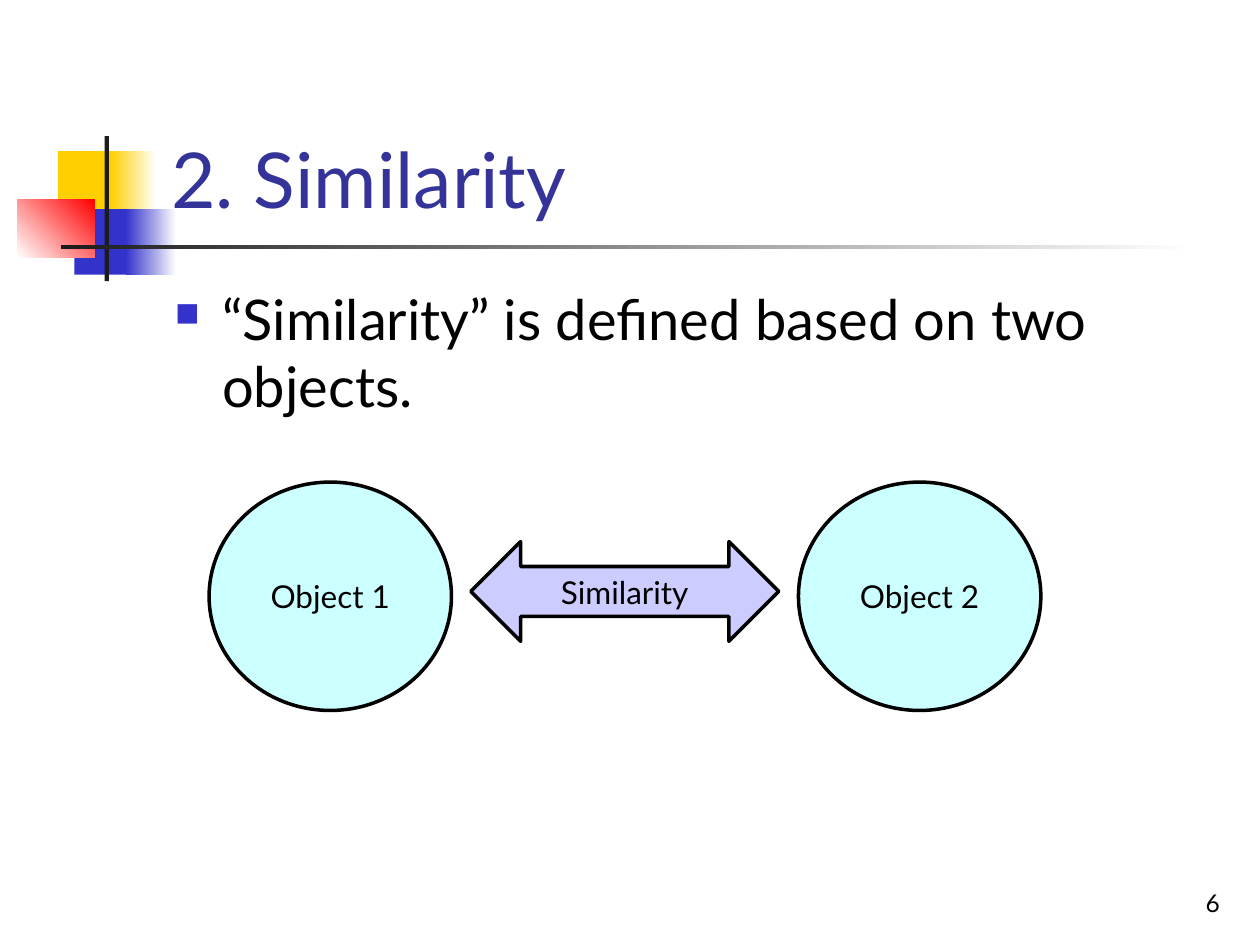
from dataclasses import dataclass

from lxml import etree
from pptx import Presentation
from pptx.dml import color as dml
from pptx.enum import shapes, text
from pptx.oxml import ns
from pptx.util import Pt

FONT = "Lato"
BLACK = "000000"
WHITE = "FFFFFF"
GOLD = "FFCF01"
BLUE = "3333CC"
CHARCOAL = "1C1C1C"


@dataclass(frozen=True)
class Box:
    left: float
    top: float
    width: float
    height: float

    def lengths(self) -> list:
        return [Pt(value) for value in (self.left, self.top, self.width, self.height)]


@dataclass(frozen=True)
class Ornament:
    box: Box
    colors: tuple
    angle: float = 0


@dataclass(frozen=True)
class Node:
    box: Box
    kind: shapes.MSO_SHAPE
    fill: str
    label: str


ORNAMENTS = [
    Ornament(Box(33.1, 86.4, 34.6, 37.4), (GOLD,)),
    Ornament(Box(63.4, 86.4, 25.9, 37.4), (GOLD, WHITE)),
    Ornament(Box(42.5, 119.5, 33.1, 37.4), (BLUE,)),
    Ornament(Box(72, 119.5, 28.8, 37.4), (BLUE, WHITE)),
    Ornament(Box(10, 113.8, 44, 33.1), (WHITE, "FF0000"), 45),
    Ornament(Box(59.8, 77.8, 2.5, 82.8), (CHARCOAL,)),
    Ornament(Box(34.6, 140.1, 648, 2.5), (CHARCOAL, WHITE)),
]

CIRCLE = shapes.MSO_SHAPE.OVAL
ARROW = shapes.MSO_SHAPE.LEFT_RIGHT_ARROW
NODES = [
    Node(Box(119.5, 275.5, 138.5, 130.5), CIRCLE, "CCFFFF", "Object 1"),
    Node(Box(269, 309.5, 176, 57), ARROW, "CCCCFF", "Similarity"),
    Node(Box(456.3, 275.5, 138.5, 130.5), CIRCLE, "CCFFFF", "Object 2"),
]


def rgb(value: str) -> dml.RGBColor:
    return dml.RGBColor.from_string(value)


def write(shape, content: str, size: float, color: str, align, anchor) -> None:
    frame = shape.text_frame
    frame.text = content
    frame.word_wrap = True
    frame.auto_size = text.MSO_AUTO_SIZE.NONE
    frame.vertical_anchor = anchor
    paragraph = frame.paragraphs[0]
    paragraph.alignment = align
    font = paragraph.runs[0].font
    font.name = FONT
    font.size = Pt(size)
    font.color.rgb = rgb(color)


def draw_ornament(slide, ornament: Ornament) -> None:
    shape = slide.shapes.add_shape(shapes.MSO_SHAPE.RECTANGLE, *ornament.box.lengths())
    shape.shadow.inherit = False
    shape.line.fill.background()
    if len(ornament.colors) == 1:
        shape.fill.solid()
        shape.fill.fore_color.rgb = rgb(ornament.colors[0])
        return
    shape.fill.gradient()
    shape.fill.gradient_angle = ornament.angle
    for stop, color in zip(shape.fill.gradient_stops, ornament.colors):
        stop.color.rgb = rgb(color)


def draw_node(slide, node: Node) -> None:
    shape = slide.shapes.add_shape(node.kind, *node.box.lengths())
    shape.shadow.inherit = False
    shape.fill.solid()
    shape.fill.fore_color.rgb = rgb(node.fill)
    shape.line.color.rgb = rgb(BLACK)
    shape.line.width = Pt(2)
    write(shape, node.label, 18, BLACK, text.PP_ALIGN.CENTER, text.MSO_ANCHOR.MIDDLE)


def add_square_bullet(paragraph, color: str, indent: float) -> None:
    properties = paragraph._p.get_or_add_pPr()
    properties.set("marL", str(Pt(indent)))
    properties.set("indent", str(-Pt(indent)))
    bullet_color = etree.SubElement(properties, ns.qn("a:buClr"))
    etree.SubElement(bullet_color, ns.qn("a:srgbClr"), val=color)
    etree.SubElement(properties, ns.qn("a:buSzPct"), val="60000")
    etree.SubElement(properties, ns.qn("a:buChar"), char="■")


def place_title(slide) -> None:
    title = slide.shapes.title
    title.left, title.top, title.width, title.height = Box(90.7, 16.6, 613.4, 115.2).lengths()
    write(title, "2. Similarity", 44, "333399", text.PP_ALIGN.LEFT, text.MSO_ANCHOR.BOTTOM)
    slide.shapes._spTree.append(title._element)


def main() -> None:
    presentation = Presentation()
    presentation.slide_width, presentation.slide_height = Pt(720), Pt(540)
    slide = presentation.slides.add_slide(presentation.slide_layouts[5])

    for ornament in ORNAMENTS:
        draw_ornament(slide, ornament)
    place_title(slide)

    body = slide.shapes.add_textbox(*Box(92.9, 159.1, 612, 324).lengths())
    write(body, "“Similarity” is defined based on two objects.", 32, BLACK,
          text.PP_ALIGN.LEFT, text.MSO_ANCHOR.TOP)
    add_square_bullet(body.text_frame.paragraphs[0], BLUE, 27)

    number = slide.shapes.add_textbox(*Box(554.4, 491.8, 149.8, 36).lengths())
    write(number, "6", 14, BLACK, text.PP_ALIGN.RIGHT, text.MSO_ANCHOR.BOTTOM)

    for node in NODES:
        draw_node(slide, node)
    presentation.save("out.pptx")


if __name__ == "__main__":
    main()
